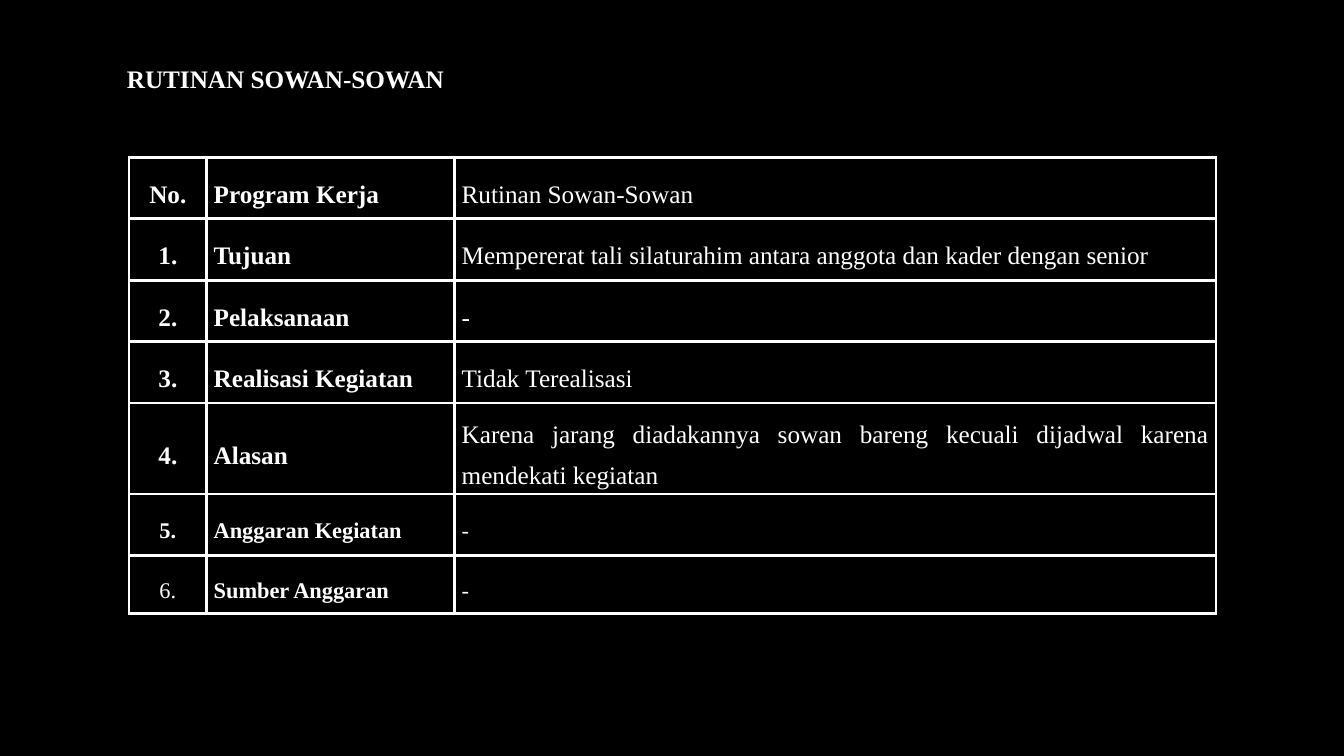
from dataclasses import dataclass

from lxml.etree import SubElement
from pptx import Presentation
from pptx.dml.color import RGBColor
from pptx.enum.text import MSO_ANCHOR as Anchor, PP_ALIGN as Align
from pptx.oxml.ns import qn
from pptx.util import Inches, Pt


@dataclass(frozen=True)
class Theme:
    font: str = "Times New Roman"
    background: RGBColor = RGBColor(0, 0, 0)
    ink: RGBColor = RGBColor(255, 255, 255)
    main_size: int = 18
    budget_size: int = 16
    border_width: float = 2.25


THEME = Theme()
COLUMN_WIDTHS = (0.77, 2.46, 7.55)

# Number, label, detail, text alignment
PROGRAM = [
    ("No.", "Program Kerja", "Rutinan Sowan-Sowan", Align.LEFT),
    ("1.", "Tujuan", "Mempererat tali silaturahim antara anggota dan kader dengan senior", Align.LEFT),
    ("2.", "Pelaksanaan", "-", Align.LEFT),
    ("3.", "Realisasi Kegiatan", "Tidak Terealisasi", Align.JUSTIFY),
    ("4.", "Alasan", "Karena jarang diadakannya sowan bareng kecuali dijadwal karena mendekati kegiatan",
     Align.JUSTIFY),
]
BUDGET = [
    ("5.", "Anggaran Kegiatan", "-", Align.LEFT),
    ("6.", "Sumber Anggaran", "-", Align.LEFT),
]


def write(frame, text, size, bold, align=Align.LEFT):
    frame.text = text
    paragraph = frame.paragraphs[0]
    paragraph.alignment = align
    font = paragraph.runs[0].font
    font.name, font.size, font.bold = THEME.font, Pt(size), bold
    font.color.rgb = THEME.ink
    return paragraph


def add_borders(cell):
    properties = cell._tc.get_or_add_tcPr()
    for position, side in enumerate(("lnL", "lnR", "lnT", "lnB")):
        line = SubElement(properties, qn(f"a:{side}"), w=str(Pt(THEME.border_width)))
        fill = SubElement(line, qn("a:solidFill"))
        SubElement(fill, qn("a:srgbClr"), val=str(THEME.ink))
        properties.insert(position, line)


def add_heading(slide, left, top, width, height):
    box = slide.shapes.add_textbox(Inches(left), Inches(top), Inches(width), Inches(height))
    frame = box.text_frame
    frame.word_wrap = True
    frame.vertical_anchor = Anchor.MIDDLE
    write(frame, "RUTINAN SOWAN-SOWAN", THEME.main_size, True).line_spacing = 0.9


def fill_cell(cell, text, size, bold, align):
    cell.fill.background()
    cell.vertical_anchor = Anchor.MIDDLE
    cell.margin_left = cell.margin_right = Inches(0.07)
    cell.margin_top = cell.margin_bottom = 0
    paragraph = write(cell.text_frame, text, size, bold, align)
    paragraph.line_spacing = 1.5
    paragraph.space_after = Pt(8)
    add_borders(cell)


def add_program_table(slide, left, top, row_height, last_height):
    entries = PROGRAM + BUDGET
    height = row_height * (len(entries) - 1) + last_height
    table = slide.shapes.add_table(
        len(entries), len(COLUMN_WIDTHS), Inches(left), Inches(top),
        Inches(sum(COLUMN_WIDTHS)), Inches(height)).table
    table.first_row = table.horz_banding = False
    for column, width in zip(table.columns, COLUMN_WIDTHS):
        column.width = Inches(width)
    for index, (number, label, detail, align) in enumerate(entries):
        last = index == len(entries) - 1
        table.rows[index].height = Inches(last_height if last else row_height)
        size = THEME.main_size if index < len(PROGRAM) else THEME.budget_size
        # The last number is set in regular weight
        fill_cell(table.cell(index, 0), number, size, not last, Align.CENTER)
        fill_cell(table.cell(index, 1), label, size, True, align)
        fill_cell(table.cell(index, 2), detail, size, False, align)


def main():
    deck = Presentation()
    deck.slide_width, deck.slide_height = Inches(13.33), Inches(7.5)
    slide = deck.slides.add_slide(deck.slide_layouts[6])
    slide.background.fill.solid()
    slide.background.fill.fore_color.rgb = THEME.background
    add_heading(slide, 1.16, 0.39, 7.13, 0.81)
    add_program_table(slide, 1.28, 1.56, 0.61, 0.58)
    deck.save("out.pptx")


if __name__ == "__main__":
    main()
